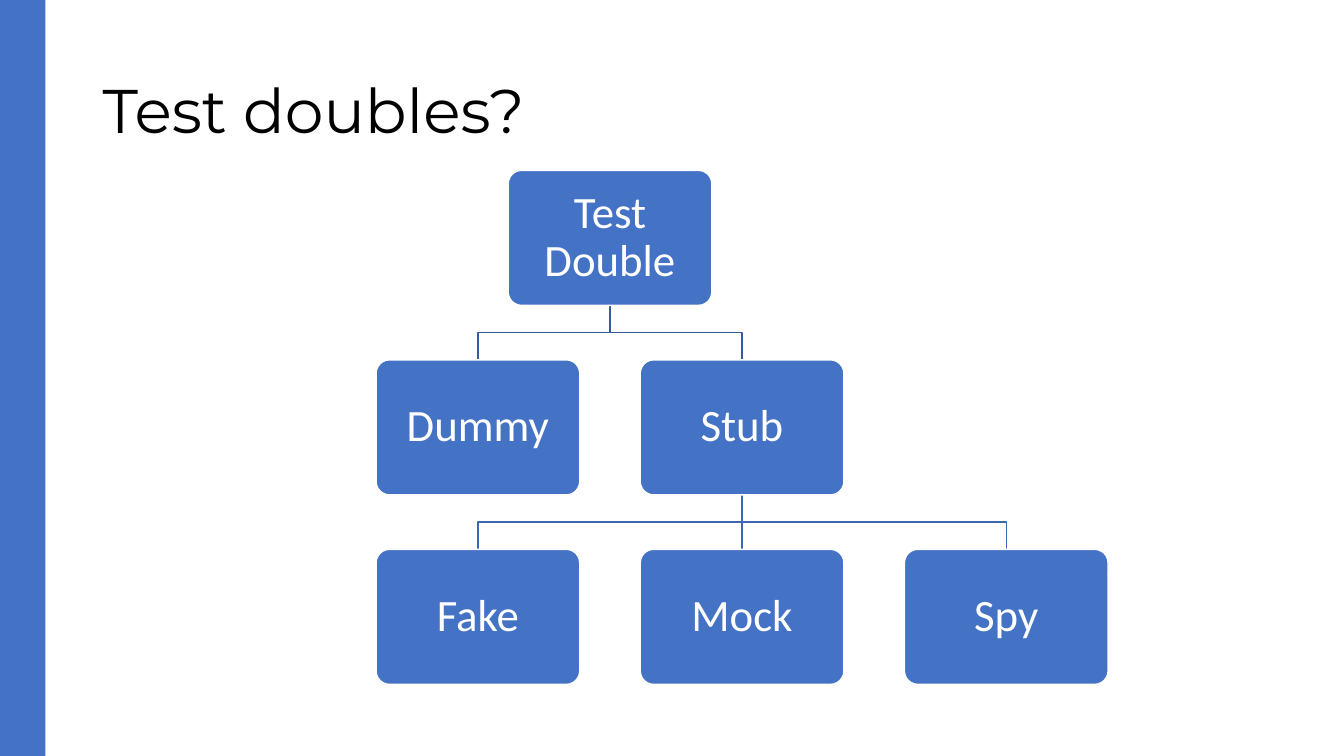
from pptx import Presentation
from pptx.dml.color import RGBColor
from pptx.enum.shapes import MSO_CONNECTOR, MSO_SHAPE
from pptx.enum.text import MSO_ANCHOR, PP_ALIGN
from pptx.oxml.ns import qn
from pptx.util import Inches, Pt

RECTANGLE, ROUNDED = MSO_SHAPE.RECTANGLE, MSO_SHAPE.ROUNDED_RECTANGLE
STRAIGHT = MSO_CONNECTOR.STRAIGHT
MIDDLE = MSO_ANCHOR.MIDDLE
LEFT, CENTER = PP_ALIGN.LEFT, PP_ALIGN.CENTER

BLUE, WHITE, BLACK = "4472C4", "FFFFFF", "000000"
NODE_WIDTH, NODE_HEIGHT = 2.02, 1.34
COLUMN_STEP, ROW_STEP = 2.62, 1.88

# Label: (column, row), in steps from the tree's top left node position
NODES = {
    "Test Double": (0.5, 0),
    "Dummy": (0, 1),
    "Stub": (1, 1),
    "Fake": (0, 2),
    "Mock": (1, 2),
    "Spy": (2, 2),
}
# Parent: (line colour, children)
BRANCHES = {
    "Test Double": ("365B9D", ["Dummy", "Stub"]),
    "Stub": ("3E67B2", ["Fake", "Mock", "Spy"]),
}
TITLE_FORMAT = {"name": "Montserrat", "size": Pt(44)}
NODE_FORMAT = {"name": "Calibri", "size": Pt(32)}


def color(value):
    """Turn a hex string into a colour."""
    return RGBColor.from_string(value)


def style_line(shape, value):
    """Give a shape or connector a one point line."""
    shape.line.color.rgb = color(value)
    shape.line.width = Pt(1)


def write(shape, text, font_format, font_color, align, margins):
    """Write one vertically centred paragraph into a shape."""
    frame = shape.text_frame
    settings = {"word_wrap": True, "vertical_anchor": MIDDLE, **margins}
    for name, value in settings.items():
        setattr(frame, name, value)
    para = frame.paragraphs[0]
    para.alignment = align
    para.line_spacing = 0.9
    span = para.add_run()
    span.text = text
    for name, value in font_format.items():
        setattr(span.font, name, value)
    span.font.color.rgb = color(font_color)


def add_side_bar(page, left, top, width, height):
    """Draw the plain bar along the slide edge."""
    bar = page.shapes.add_shape(RECTANGLE, *map(Inches, (left, top, width, height)))
    bar.shadow.inherit = False
    bar.fill.solid()
    bar.fill.fore_color.rgb = color(BLUE)
    bar.line.fill.background()


def add_title(page, text, left, top, width, height):
    """Add the slide heading."""
    box = page.shapes.add_textbox(*map(Inches, (left, top, width, height)))
    write(box, text, TITLE_FORMAT, BLACK, LEFT, {})


def add_node(page, text, left, top):
    """Add one labelled box of the tree."""
    node = page.shapes.add_shape(
        ROUNDED, *map(Inches, (left, top, NODE_WIDTH, NODE_HEIGHT)))
    node.adjustments[0] = 0.1
    node.shadow.inherit = False
    node.fill.solid()
    node.fill.fore_color.rgb = color(BLUE)
    style_line(node, WHITE)
    sides = ("left", "top", "right", "bottom")
    margins = {f"margin_{side}": Inches(0.13) for side in sides}
    write(node, text, NODE_FORMAT, WHITE, CENTER, margins)


def add_branch(page, start, end, line_color):
    """Link a parent's bottom centre to a child's top centre."""
    (x1, y1), (x2, y2) = [tuple(map(Inches, point)) for point in (start, end)]
    if x1 == x2:
        branch = page.shapes.add_connector(STRAIGHT, x1, y1, x2, y2)
        properties = branch._element.spPr
        properties.append(properties.makeelement(qn("a:effectLst"), {}))
    else:
        middle = (y1 + y2) // 2
        builder = page.shapes.build_freeform(x1, y1)
        builder.add_line_segments([(x1, middle), (x2, middle), (x2, y2)], close=False)
        branch = builder.convert_to_shape()
        branch.fill.background()
        branch.shadow.inherit = False
    style_line(branch, line_color)


def add_tree(page, left, top):
    """Draw the branches and then the nodes from a top left corner."""
    places = {text: (left + column * COLUMN_STEP, top + row * ROW_STEP)
              for text, (column, row) in NODES.items()}
    for parent, (line_color, children) in BRANCHES.items():
        x, y = places[parent]
        start = (x + NODE_WIDTH / 2, y + NODE_HEIGHT)
        for child in children:
            x, y = places[child]
            add_branch(page, start, (x + NODE_WIDTH / 2, y), line_color)
    for text, place in places.items():
        add_node(page, text, *place)


def main():
    """Build and save the deck."""
    deck = Presentation()
    deck.slide_width, deck.slide_height = Inches(13.33), Inches(7.5)
    page = deck.slides.add_slide(deck.slide_layouts[6])
    add_side_bar(page, 0, 0, 0.45, 7.5)
    add_title(page, "Test doubles?", 0.92, 0.4, 11.5, 1.45)
    add_tree(page, 3.73, 1.69)
    deck.save("out.pptx")


main()
